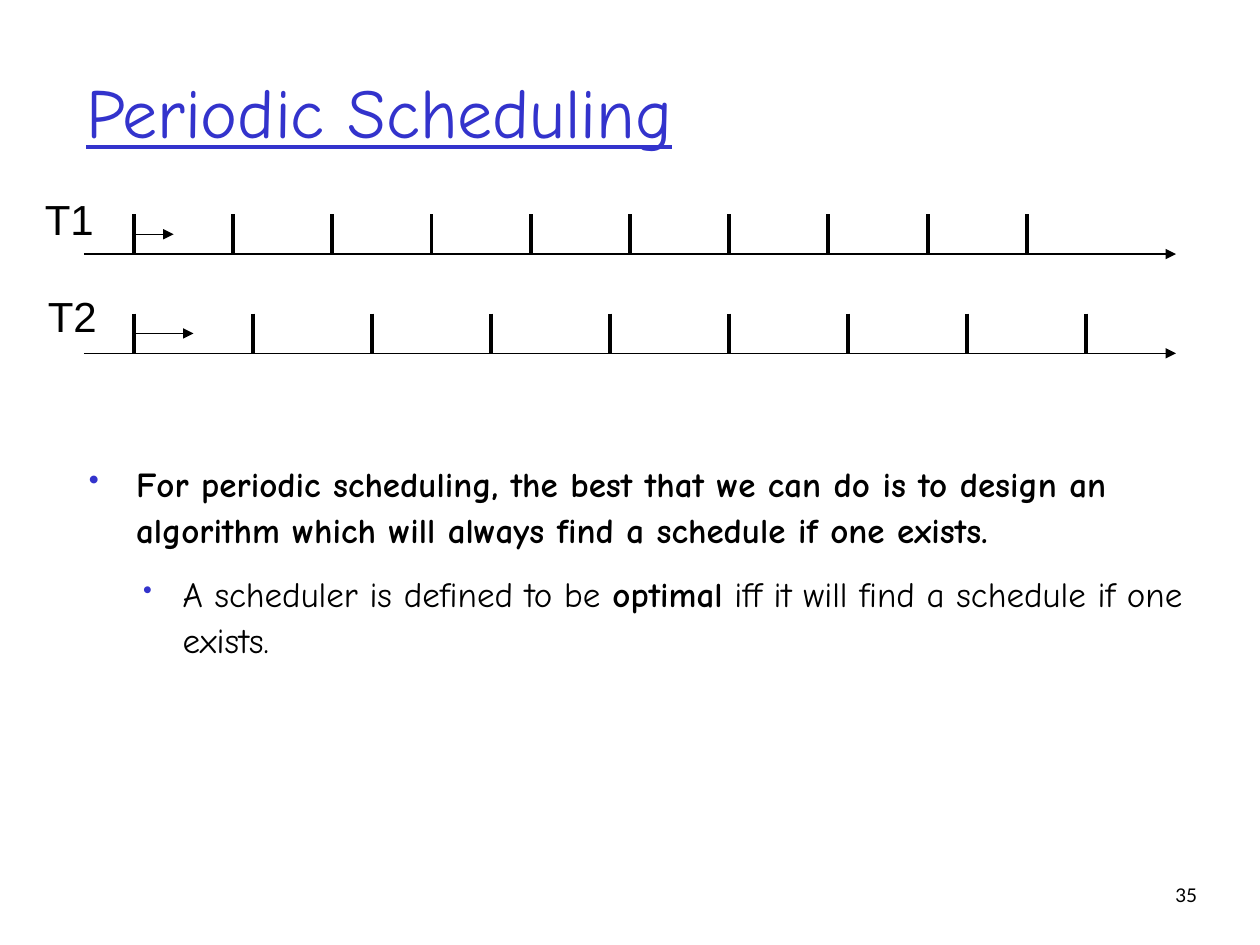
from dataclasses import dataclass

from pptx import Presentation
from pptx.dml.color import RGBColor
from pptx.enum.shapes import MSO_CONNECTOR
from pptx.enum.text import MSO_ANCHOR, MSO_AUTO_SIZE, PP_ALIGN
from pptx.oxml.ns import qn
from pptx.shapes.autoshape import Shape
from pptx.slide import Slide
from pptx.text.text import TextFrame, _Paragraph
from pptx.util import Pt
from lxml.etree import SubElement

BLUE = RGBColor(0x33, 0x33, 0xCC)
BLACK = RGBColor(0, 0, 0)
COMIC = "Comic Neue"

AXIS_LEFT, AXIS_RIGHT = 48, 672
START = 76.54
TICK = 22.68


@dataclass(frozen=True)
class Task:
    name: str
    left: float
    top: float
    axis: float
    period: float
    count: int
    run: float


@dataclass(frozen=True)
class Bullet:
    runs: tuple[tuple[str, bool], ...]
    level: int
    margin: float
    hang: float
    size: int
    before: float


TASKS = (
    Task("T1", 18.5, 107.3, 145.2, 56.69, 10, 22.68),
    Task("T2", 20.2, 162.3, 201.9, 68.03, 9, 34.02),
)
BULLETS = (
    Bullet((("For periodic scheduling, the best that we can do is to design an "
             "algorithm which will always find a schedule if one exists.", True),),
           0, 34, 27, 85, 0),
    Bullet((("A scheduler is defined to be ", False), ("optimal", True),
            (" iff it will find a schedule if one exists.", False)),
           1, 60.5, 22.5, 75, 10),
)


def add_run(para: _Paragraph, text: str, size: float, face: str,
            color: RGBColor = BLACK, bold: bool = False) -> None:
    run = para.add_run()
    run.text = text
    font = run.font
    font.size, font.name, font.bold = Pt(size), face, bold
    font.color.rgb = color


def place(shape: Shape, left: float, top: float, width: float, height: float) -> None:
    shape.left, shape.top = Pt(left), Pt(top)
    shape.width, shape.height = Pt(width), Pt(height)


def add_box(slide: Slide, left: float, top: float, width: float, height: float,
            wrap: bool = True) -> TextFrame:
    box = slide.shapes.add_textbox(Pt(left), Pt(top), Pt(width), Pt(height))
    box.text_frame.word_wrap = wrap
    return box.text_frame


def add_line(slide: Slide, x1: float, y1: float, x2: float, y2: float,
             weight: float, arrow: bool = False) -> None:
    line = slide.shapes.add_connector(
        MSO_CONNECTOR.STRAIGHT, Pt(x1), Pt(y1), Pt(x2), Pt(y2))
    line.line.width = Pt(weight)
    line.line.color.rgb = BLACK
    if arrow:
        SubElement(line.line._get_or_add_ln(), qn("a:tailEnd"), type="triangle")
    SubElement(line._element.spPr, qn("a:effectLst"))


def add_task(slide: Slide, task: Task) -> None:
    """Draw a time axis with its release ticks, run arrow and label."""
    top = task.axis - TICK
    add_line(slide, AXIS_LEFT, task.axis, AXIS_RIGHT, task.axis, 0.75, True)
    for i in range(task.count):
        x = START + i * task.period
        add_line(slide, x, top, x, task.axis, 2.25)
    mid = task.axis - TICK / 2
    add_line(slide, START, mid, START + task.run, mid, 0.75, True)
    frame = add_box(slide, task.left, task.top, 42.5, 36, wrap=False)
    add_run(frame.paragraphs[0], task.name, 24, "Arial")


def add_bullet(para: _Paragraph, item: Bullet) -> None:
    para.level = item.level
    props = para._p.get_or_add_pPr()
    props.set("marL", str(Pt(item.margin)))
    props.set("indent", str(-Pt(item.hang)))
    color = SubElement(props, qn("a:buClr"))
    SubElement(color, qn("a:srgbClr"), val=str(BLUE))
    SubElement(props, qn("a:buSzPct"), val=str(item.size * 1000))
    SubElement(props, qn("a:buChar"), char="•")
    para.line_spacing = 1.1
    para.space_before = Pt(item.before)
    for text, bold in item.runs:
        add_run(para, text, 20, COMIC, bold=bold)


def main() -> None:
    deck = Presentation()
    deck.slide_width, deck.slide_height = Pt(720), Pt(540)
    slide = deck.slides.add_slide(deck.slide_layouts[5])

    title = slide.shapes.title
    place(title, 42, 18, 612, 90)
    frame = title.text_frame
    frame.auto_size = MSO_AUTO_SIZE.NONE
    frame.vertical_anchor = MSO_ANCHOR.MIDDLE
    head = frame.paragraphs[0]
    head.alignment = PP_ALIGN.LEFT
    add_run(head, "Periodic Scheduling", 40, COMIC, BLUE)
    head.runs[0].font.underline = True

    for task in TASKS:
        add_task(slide, task)

    body = add_box(slide, 36.7, 258.5, 646.6, 170)
    for i, item in enumerate(BULLETS):
        add_bullet(body.add_paragraph() if i else body.paragraphs[0], item)

    number = add_box(slide, 633.6, 504, 57.6, 23).paragraphs[0]
    number.alignment = PP_ALIGN.RIGHT
    number.line_spacing = 0.8
    add_run(number, "35", 10.8, "Lato")

    deck.save("out.pptx")


if __name__ == "__main__":
    main()
